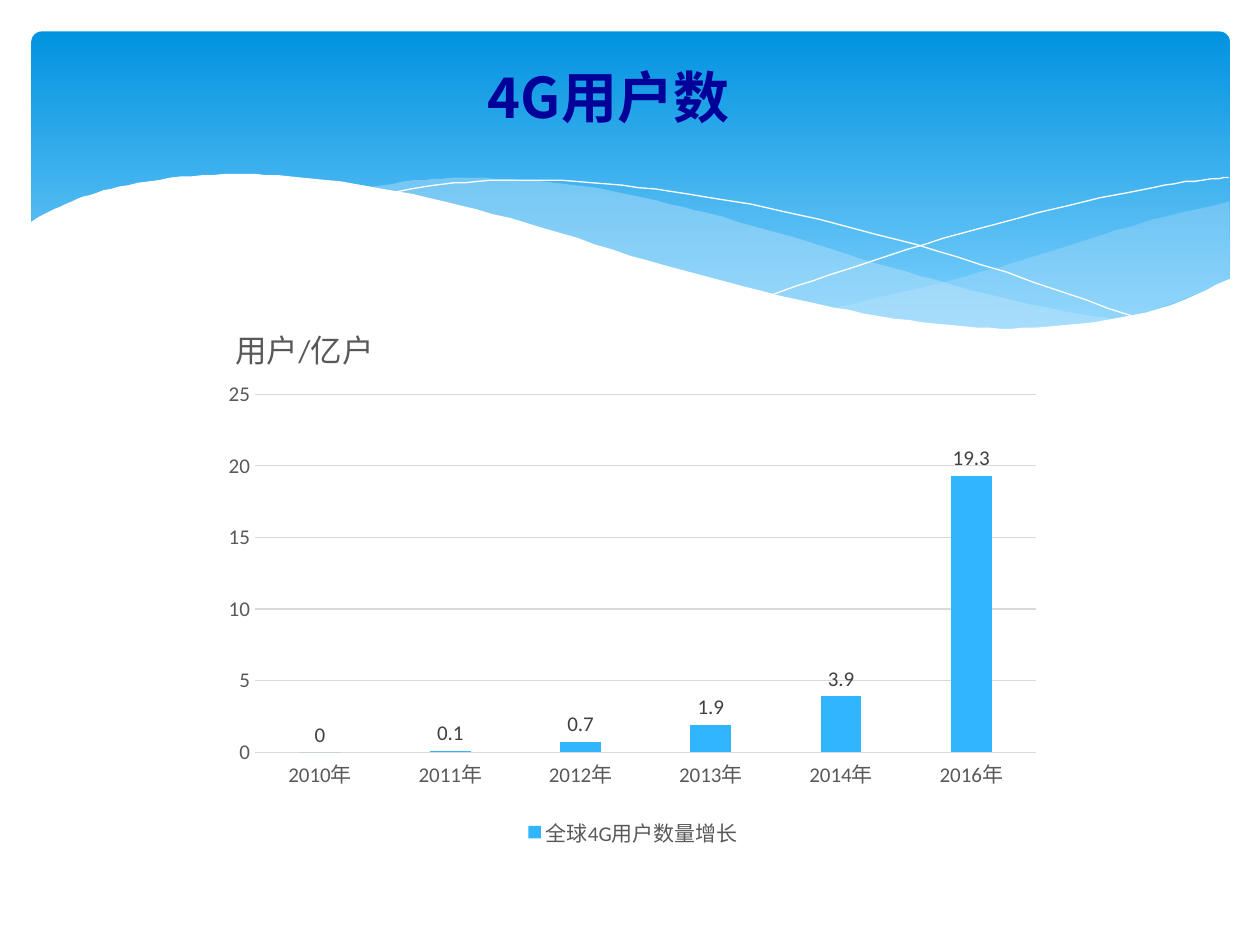
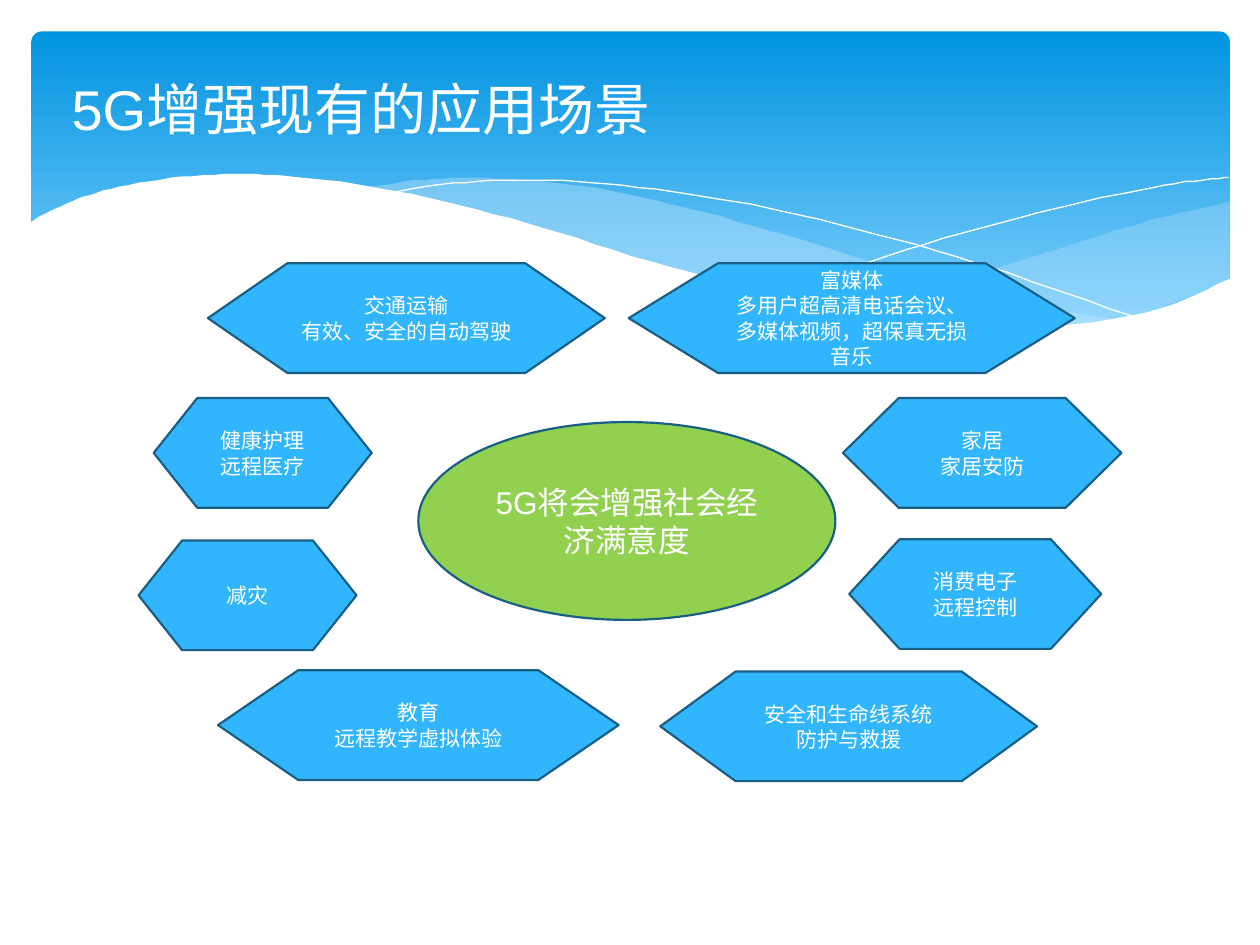
"""Build two slides on 4G user growth and 5G use cases under a shared wave band."""
from pptx import Presentation
from pptx.chart.data import CategoryChartData
from pptx.dml.color import RGBColor
from pptx.enum.chart import XL_CHART_TYPE, XL_LABEL_POSITION, XL_LEGEND_POSITION, XL_TICK_MARK
from pptx.enum.shapes import MSO_SHAPE
from pptx.enum.text import MSO_ANCHOR, PP_ALIGN
from pptx.oxml import parse_xml
from pptx.oxml.ns import nsdecls, qn
from pptx.util import Pt

PX = 9144
STEPS = 8
ROUND, OVAL, HEX = MSO_SHAPE.ROUNDED_RECTANGLE, MSO_SHAPE.OVAL, MSO_SHAPE.FLOWCHART_PREPARATION
MID, LEFT, CENTER = MSO_ANCHOR.MIDDLE, PP_ALIGN.LEFT, PP_ALIGN.CENTER
COLUMN, OUT = XL_CHART_TYPE.COLUMN_CLUSTERED, XL_LABEL_POSITION.OUTSIDE_END
BOTTOM, NO_TICK = XL_LEGEND_POSITION.BOTTOM, XL_TICK_MARK.NONE
CJK = "Noto Sans CJK SC"

HUE = {key: RGBColor.from_string(val) for key, val in {
    "white": "FFFFFF", "deep": "0293E0", "pale": "83D3FE", "mist": "C6E7FC",
    "navy": "000099", "blue": "31B6FD", "edge": "195F84", "green": "92D050",
    "grey": "595959", "dark": "404040", "rule": "D9D9D9"}.items()}

FORM = {
    "head": ({"size": Pt(32), "name": CJK, "bold": True}, "navy"),
    "plain": ({"size": Pt(32), "name": "Arial", "bold": False}, "white"),
    "core": ({"size": Pt(18), "name": "Arial"}, "white"),
    "case": ({"size": Pt(12), "name": "Calibri"}, "white"),
    "name": ({"size": Pt(18), "name": "Calibri", "bold": False}, "grey"),
    "axis": ({"size": Pt(12), "name": "Calibri"}, "grey"),
    "mark": ({"size": Pt(12), "name": "Calibri"}, "dark"),
}

WAVES = [
    ("mist", 29, [
        [(976, 160), (906, 177), (832, 200), (753, 223), (661, 245)],
        [(661, 245), (757, 259), (835, 261), (905, 250), (976, 221)]]),
    ("mist", 40, [
        [(893, 255), (807, 239), (706, 212), (629, 188), (541, 164),
         (465, 148), (399, 142), (344, 142), (286, 149)],
        [(286, 149), (383, 169), (491, 202), (601, 232), (722, 256), (818, 263), (893, 255)]]),
    (None, 100, [
        [(309, 154), (353, 146), (433, 143), (533, 152), (636, 171), (760, 204), (907, 254)]]),
    (None, 100, [
        [(613, 234), (720, 198), (836, 166), (924, 147), (975, 141)]]),
    ("white", 100, [
        [(977, 221), (910, 248), (823, 260), (744, 257), (648, 241), (529, 211), (418, 177),
         (316, 152), (230, 140), (161, 139), (95, 148), (52, 162), (23, 177)],
        [(23, 329), (977, 329)]]),
]

CASES = [
    (110, 429, 173, ["减灾"]),
    (122, 316, 173, ["健康护理", "远程医疗"]),
    (173, 532, 318, ["教育", "远程教学虚拟体验"]),
    (524, 533, 299, ["安全和生命线系统", "防护与救援"]),
    (674, 428, 200, ["消费电子", "远程控制"]),
    (669, 316, 221, ["家居", "家居安防"]),
    (499, 209, 354, ["富媒体", "多用户超高清电话会议、多媒体视频，超保真无损音乐"]),
    (165, 209, 315, ["交通运输", "有效、安全的自动驾驶"]),
]


def style(font, kind):
    vals, hue = FORM[kind]
    for key, val in vals.items():
        setattr(font, key, val)
    font.color.rgb = HUE[hue]


def write(shape, lines, kind, align=CENTER, pitch=None):
    frame = shape.text_frame
    frame.word_wrap = True
    frame.vertical_anchor = MID
    for i, line in enumerate(lines):
        para = frame.add_paragraph() if i else frame.paragraphs[0]
        para.alignment = align
        para.line_spacing = pitch
        run = para.add_run()
        run.text = line
        style(run.font, kind)
        run.font._element.append(parse_xml(f'<a:ea {nsdecls("a")} typeface="{CJK}"/>'))


deck = Presentation()
deck.slide_width, deck.slide_height = 1000 * PX, 750 * PX

heads = [
    ("4G用户数", "head", CENTER, (33, 41, 900, 71)),
    ("5G增强现有的应用场景", "plain", LEFT, (47, 33, 900, 106)),
]
for text, kind, align, box in heads:
    slide = deck.slides.add_slide(deck.slide_layouts[6])
    band = slide.shapes.add_shape(ROUND, *[v * PX for v in (25, 25, 951, 270)])
    band.adjustments[0] = 0.03
    band.shadow.inherit = False
    band.line.fill.background()
    band.fill.gradient()
    band.fill.gradient_angle = 270
    for stop, hue, pos in zip(band.fill.gradient_stops, ("deep", "pale"), (0, 0.9)):
        stop.color.rgb = HUE[hue]
        stop.position = pos
    for hue, alpha, curves in WAVES:
        pts = []
        for knots in curves:
            ends = [knots[0], *knots, knots[-1]]
            pts.append(knots[0])
            for quad in zip(ends, ends[1:], ends[2:], ends[3:]):
                for step in range(1, STEPS + 1):
                    t = step / STEPS
                    pts.append([
                        b + t * (c - a + t * (2 * a - 5 * b + 4 * c - d
                                              + t * (3 * b - a - 3 * c + d))) / 2
                        for a, b, c, d in zip(*quad)])
        pen = slide.shapes.build_freeform(*pts[0], scale=PX)
        pen.add_line_segments(pts[1:], close=hue is not None)
        wave = pen.convert_to_shape()
        wave.shadow.inherit = False
        if hue:
            wave.fill.solid()
            wave.fill.fore_color.rgb = HUE[hue]
            wave.line.fill.background()
        else:
            wave.fill.background()
            wave.line.color.rgb = HUE["white"]
            wave.line.width = 0
        if alpha < 100:
            tint = wave._element.spPr.find(qn("a:solidFill"))[0]
            tint.append(parse_xml(f'<a:alpha {nsdecls("a")} val="{alpha * 1000}"/>'))
    title = slide.shapes.add_textbox(*[v * PX for v in box])
    write(title, [text], kind, align)

users, scenes = deck.slides

data = CategoryChartData(number_format="General")
data.categories = [f"{year}年" for year in (2010, 2011, 2012, 2013, 2014, 2016)]
data.add_series("全球4G用户数量增长", (0, 0.1, 0.7, 1.9, 3.9, 19.3))
area = [v * PX for v in (169, 233, 667, 444)]
chart = users.shapes.add_chart(COLUMN, *area, data).chart
style(chart.font, "axis")

chart.has_title = True
para = chart.chart_title.text_frame.paragraphs[0]
run = para.add_run()
run.text = "用户/亿户"
style(run.font, "name")

chart.has_legend = True
chart.legend.position = BOTTOM
chart.legend.include_in_layout = False
style(chart.legend.font, "axis")

for axis in (chart.category_axis, chart.value_axis):
    axis.major_tick_mark = axis.minor_tick_mark = NO_TICK
    style(axis.tick_labels.font, "axis")
cats, vals = chart.category_axis, chart.value_axis
vals.minimum_scale, vals.maximum_scale, vals.major_unit = 0, 25, 5
vals.has_major_gridlines = True
for line in (cats.format.line, vals.major_gridlines.format.line):
    line.color.rgb = HUE["rule"]
    line.width = Pt(0.75)
vals.format.line.fill.background()

plot = chart.plots[0]
plot.gap_width, plot.overlap, plot.vary_by_categories = 219, -27, False
bars = plot.series[0].format.fill
bars.solid()
bars.fore_color.rgb = HUE["blue"]
plot.has_data_labels = True
marks = plot.data_labels
marks.show_value = True
marks.position = OUT
style(marks.font, "mark")

spots = [
    ("c:title", 1, {"x": 0.02, "y": 0.04}),
    ("c:plotArea", 0, {"x": 0.05, "y": 0.18, "w": 0.93, "h": 0.64}),
]
for tag, pos, dims in spots:
    node = chart._chartSpace.chart.find(qn(tag))
    for old in node.findall(qn("c:layout")):
        node.remove(old)
    inner = '<c:layoutTarget val="inner"/>' if "w" in dims else ""
    modes = "".join(f'<c:{key}Mode val="edge"/>' for key in "xy")
    sizes = "".join(f'<c:{key} val="{val}"/>' for key, val in dims.items())
    node.insert(pos, parse_xml(
        f'<c:layout {nsdecls("c")}><c:manualLayout>{inner}{modes}{sizes}</c:manualLayout></c:layout>'))

nodes = [(HEX, (x, y, w, 87), "blue", lines, "case", Pt(14.5)) for x, y, w, lines in CASES]
nodes.insert(1, (OVAL, (332, 335, 331, 157), "green", ["5G将会增强社会经济满意度"], "core", Pt(21.7)))
for form, box, hue, lines, kind, pitch in nodes:
    node = scenes.shapes.add_shape(form, *[v * PX for v in box])
    node.shadow.inherit = False
    node.fill.solid()
    node.fill.fore_color.rgb = HUE[hue]
    node.line.color.rgb = HUE["edge"]
    node.line.width = Pt(1.25)
    write(node, lines, kind, pitch=pitch)

deck.save("out.pptx")
